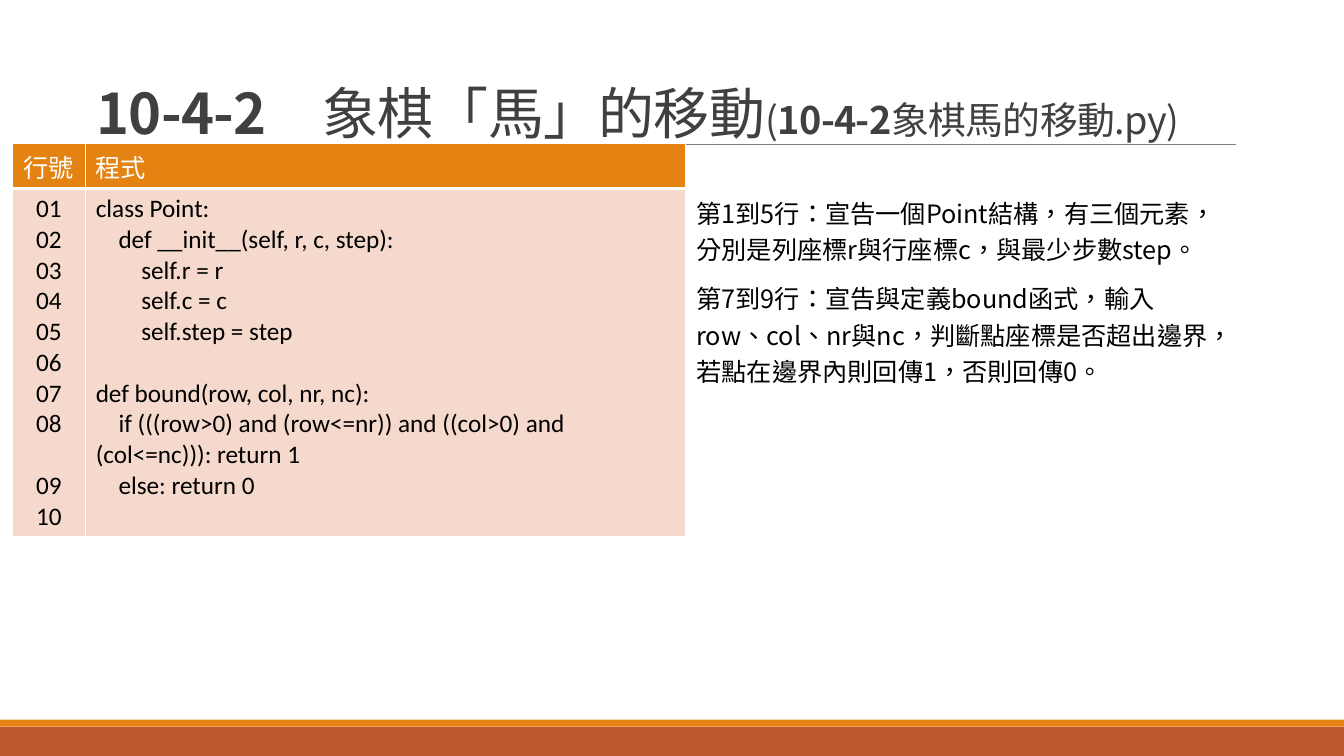
from lxml import etree
from pptx import Presentation
from pptx.dml.color import RGBColor
from pptx.enum.shapes import MSO_CONNECTOR as Conn, MSO_SHAPE as Shape
from pptx.enum.text import MSO_ANCHOR as Anchor, PP_ALIGN as Align
from pptx.oxml.ns import qn
from pptx.util import Inches, Pt

WHITE = RGBColor(0xFF, 0xFF, 0xFF)
BLACK = RGBColor(0, 0, 0)
DARK = RGBColor(0x40, 0x40, 0x40)
GRAY = RGBColor(0x80, 0x80, 0x80)
ORANGE = RGBColor(0xE4, 0x83, 0x12)
RUST = RGBColor(0xBD, 0x58, 0x2C)
PEACH = RGBColor(0xF5, 0xD9, 0xCC)
NOTO, CALIBRI = "Noto Sans CJK SC", "Calibri"
LINE = 22  # height in points of one line of code

# text, size, bold
TITLE = [
    ("10-4-2　", 40, True),
    ("象棋「馬」的移動", 40, False),
    ("(", 27, False),
    ("10-4-2", 27, True),
    ("象棋馬的移動.py)", 27, False),
]
HEADS = ["行號", "程式"]
NUMBERS = ["01", "02", "03", "04", "05", "06", "07", "08", "09", "10"]
CODE = [
    "class Point:",
    "    def __init__(self, r, c, step):",
    "        self.r = r",
    "        self.c = c",
    "        self.step = step",
    "def bound(row, col, nr, nc):",
    "    if (((row>0) and (row<=nr)) and ((col>0) and (col<=nc))): return 1",
    "    else: return 0",
]
NOTES = [
    "第1到5行：宣告一個Point結構，有三個元素，分別是列座標r與行座標c，與最少步數step。",
    "第7到9行：宣告與定義bound函式，輸入row、col、nr與nc，判斷點座標是否超出邊界，若點在邊界內則回傳1，否則回傳0。",
]
COLS = [0.73, 5.95]
ROWS = [0.45, 3.45]
BARS = [(7.21, 0.29, RUST), (7.14, 0.07, ORANGE)]


def write(frame, paras, font=CALIBRI, color=BLACK, align=Align.LEFT,
          spacing=None, before=0, after=0, gaps=(), track=None):
    """Fill a frame with lists of (text, size, bold); gaps lists lines set one line lower."""
    frame.word_wrap = True
    for i, runs in enumerate(paras):
        para = frame.paragraphs[0] if i == 0 else frame.add_paragraph()
        para.alignment = align
        if spacing:
            para.line_spacing = spacing
        para.space_before = Pt(LINE if i in gaps else before if i else 0)
        para.space_after = Pt(after)
        for text, size, bold in runs:
            run = para.add_run()
            run.text = text
            run.font.size, run.font.bold = Pt(size), bold
            run.font.name, run.font.color.rgb = font, color
            props = run.font._element
            props.set("lang", "zh-TW")
            if track:
                props.set("spc", str(track))
            east = etree.Element(qn("a:ea"), typeface=NOTO)
            props.find(qn("a:latin")).addnext(east)


def plain(lines):
    return [[(line, 18, False)] for line in lines]


def edge(cell, bottom):
    """Draw white borders, with the bottom one as wide as given in points."""
    props = cell._tc.get_or_add_tcPr()
    for i, (side, width) in enumerate(
            [("lnL", 1), ("lnR", 1), ("lnT", 1), ("lnB", bottom)]):
        line = etree.Element(qn("a:" + side), w=str(Pt(width)))
        fill = etree.SubElement(line, qn("a:solidFill"))
        etree.SubElement(fill, qn("a:srgbClr"), val=str(WHITE))
        props.insert(i, line)


def box(slide, left, top, width, height):
    return slide.shapes.add_textbox(
        *map(Inches, (left, top, width, height))).text_frame


def main():
    deck = Presentation()
    deck.slide_width, deck.slide_height = Inches(13.33), Inches(7.5)
    slide = deck.slides.add_slide(deck.slide_layouts[6])

    for top, height, color in BARS:
        bar = slide.shapes.add_shape(
            Shape.RECTANGLE, 0, Inches(top), deck.slide_width, Inches(height))
        bar.shadow.inherit = False
        bar.fill.solid()
        bar.fill.fore_color.rgb = color
        bar.line.fill.background()

    rule = slide.shapes.add_connector(
        Conn.STRAIGHT, Inches(1.36), Inches(1.43), Inches(12.26), Inches(1.43))
    rule.line.color.rgb, rule.line.width = GRAY, Pt(0.5)
    etree.SubElement(rule._element.spPr, qn("a:effectLst"))

    title = box(slide, 0.86, 0.42, 11, 1.08)
    title.vertical_anchor = Anchor.BOTTOM
    write(title, [TITLE], font=NOTO, color=DARK, spacing=0.85, track=-50)

    table = slide.shapes.add_table(
        2, 2, Inches(0.12), Inches(1.42),
        Inches(sum(COLS)), Inches(sum(ROWS))).table
    for col, width in zip(table.columns, COLS):
        col.width = Inches(width)
    for row, height in zip(table.rows, ROWS):
        row.height = Inches(height)
    for c, (head, lines, skip, align) in enumerate([
            (HEADS[0], NUMBERS, NUMBERS.index("09"), Align.CENTER),
            (HEADS[1], CODE, 5, Align.LEFT)]):
        top, body = table.cell(0, c), table.cell(1, c)
        write(top.text_frame, plain([head]), color=WHITE, align=align)
        write(body.text_frame, plain(lines), align=align, gaps=[skip])
        for cell, color, bottom in [(top, ORANGE, 3), (body, PEACH, 1)]:
            cell.fill.solid()
            cell.fill.fore_color.rgb = color
            edge(cell, bottom)

    notes = box(slide, 6.81, 1.86, 5.4, 2.01)
    write(notes, plain(NOTES), font=NOTO, spacing=1.2, before=6, after=3)

    deck.save("out.pptx")


if __name__ == "__main__":
    main()
